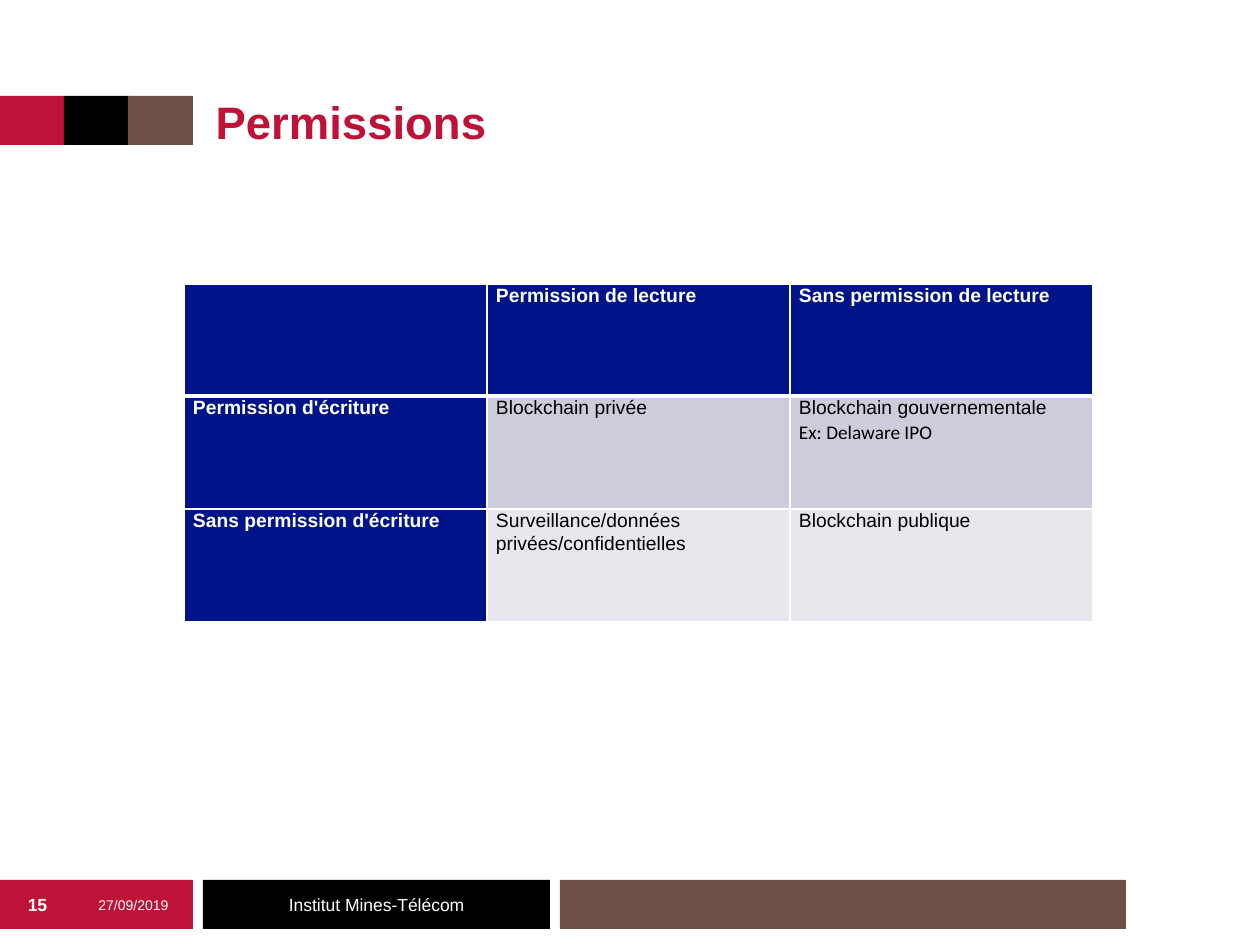
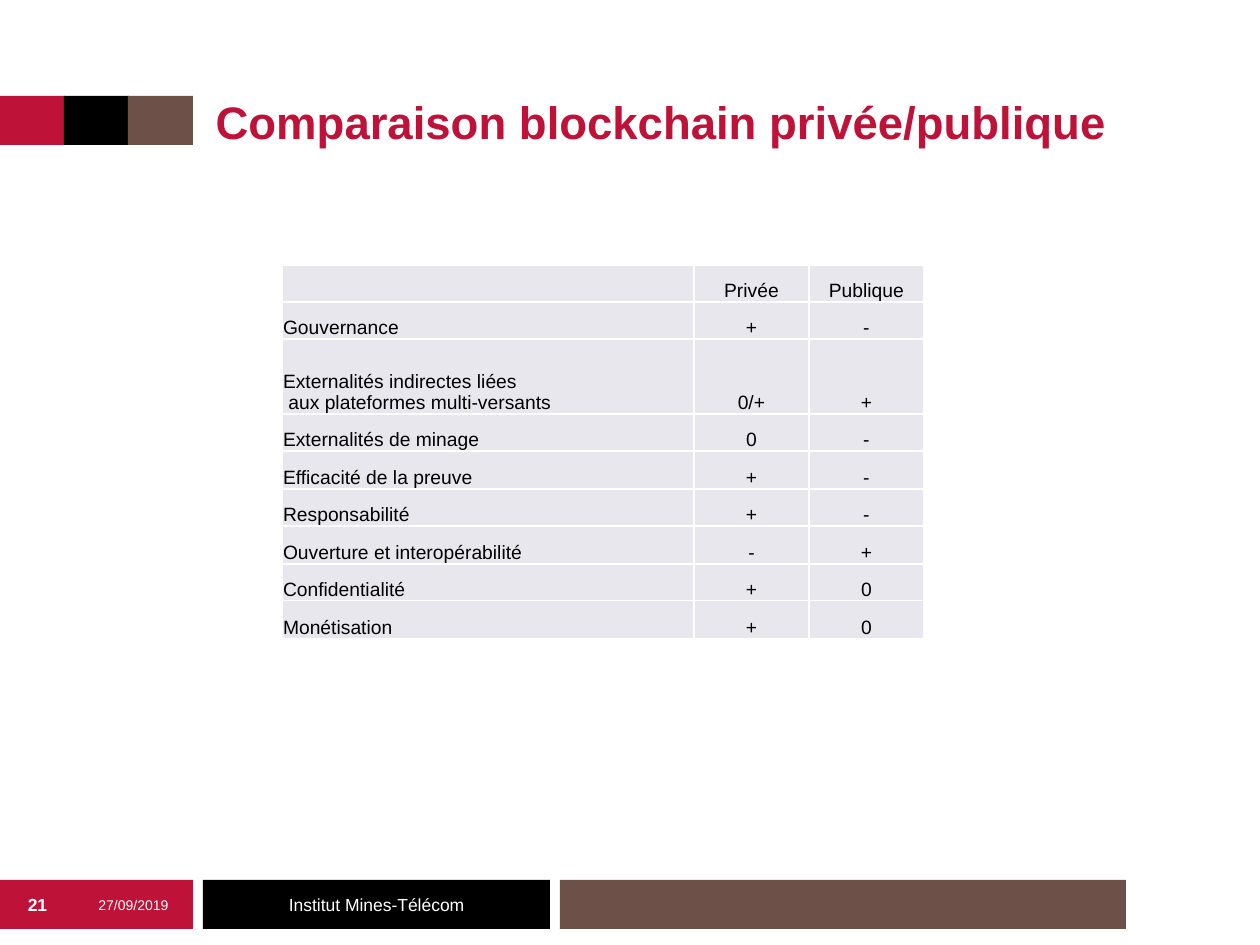
from dataclasses import dataclass

from lxml.etree import SubElement
from pptx import Presentation
from pptx.dml.color import RGBColor
from pptx.enum.shapes import MSO_SHAPE
from pptx.enum.text import MSO_ANCHOR, MSO_AUTO_SIZE, PP_ALIGN
from pptx.oxml.ns import qn
from pptx.slide import Slide
from pptx.table import Table, _Cell
from pptx.text.text import TextFrame
from pptx.util import Emu, Pt

SCALE = 914400 / 126  # EMU in one px
FONT = "Arial"
COLORS = {
    "red": "BF1238", "brown": "6D5047", "black": "000000", "white": "FFFFFF",
    "blue": "001489", "mid": "CCCCDA", "pale": "E7E7ED",
}


@dataclass(frozen=True)
class Box:
    x: int
    y: int
    w: int
    h: int


@dataclass(frozen=True)
class Style:
    size: int
    color: str
    bold: bool = False
    align: PP_ALIGN = PP_ALIGN.LEFT
    spacing: float | None = None


@dataclass(frozen=True)
class Band:
    box: Box
    fill: str
    text: str = ""


@dataclass(frozen=True)
class Grid:
    x: int
    y: int
    cols: tuple[int, ...]
    rows: tuple[int, ...]
    pads: tuple[int, int, int, int]  # left, top, right, bottom
    anchor: MSO_ANCHOR


BLOCK, FOOT, HIGH = 64, 880, 49
BANDS = [
    Band(Box(0, FOOT, 193, HIGH), "red"),
    Band(Box(560, FOOT, 566, HIGH), "brown"),
    Band(Box(203, FOOT, 347, HIGH), "black", "Institut Mines-Télécom"),
] + [
    Band(Box(i * BLOCK, 96, BLOCK + 1, HIGH), fill)
    for i, fill in enumerate(("red", "black", "brown"))
]
TITLE = Box(203, 0, 994, 155)
DATE = Box(74, FOOT, 119, HIGH)
NUMBER = Box(1, FOOT, 73, HIGH)

HEAD = Style(26, "red", True)
LABEL = Style(10, "white", align=PP_ALIGN.CENTER)
SMALL = Style(8, "white", align=PP_ALIGN.CENTER)
COUNT = Style(10, "white", True, PP_ALIGN.CENTER)

RIGHTS = Grid(184, 284, (303,) * 3, (112, 113, 113), (9, 0, 9, 0), MSO_ANCHOR.TOP)
RIGHTS_TEXT = [
    ["", "Permission de lecture", "Sans permission de lecture"],
    ["Permission d'écriture", "Blockchain privée",
     "Blockchain gouvernementale\nEx: Delaware IPO"],
    ["Sans permission d'écriture", "Surveillance/données privées/confidentielles",
     "Blockchain publique"],
]
SCORES = Grid(282, 265, (412, 115, 115), (37, 37, 75, 37, 38, 37, 38, 37, 38),
              (1, 1, 1, 0), MSO_ANCHOR.BOTTOM)
SCORES_TEXT = [
    ["", "Privée", "Publique"],
    ["Gouvernance", "+", "-"],
    ["Externalités indirectes liées\v aux plateformes multi-versants", "0/+", "+"],
    ["Externalités de minage", "0", "-"],
    ["Efficacité de la preuve", "+", "-"],
    ["Responsabilité", "+", "-"],
    ["Ouverture et interopérabilité", "-", "+"],
    ["Confidentialité", "+", "0"],
    ["Monétisation", "+", "0"],
]


def px(n: int) -> Emu:
    return Emu(round(n * SCALE))


def rgb(name: str) -> RGBColor:
    return RGBColor.from_string(COLORS[name])


def area(box: Box) -> tuple[Emu, ...]:
    return px(box.x), px(box.y), px(box.w), px(box.h)


def write(frame: TextFrame, text: str, style: Style) -> None:
    frame.text = text
    for para in frame.paragraphs:
        para.alignment = style.align
        if style.spacing:
            para.line_spacing = style.spacing
        for run in para.runs:
            font = run.font
            font.name, font.size, font.bold = FONT, Pt(style.size), style.bold
            font.color.rgb = rgb(style.color)
        if not para.runs:
            para._p.get_or_add_endParaRPr().set("sz", str(style.size * 100))


def label(slide: Slide, box: Box, text: str, style: Style) -> None:
    frame = slide.shapes.add_textbox(*area(box)).text_frame
    frame.word_wrap = True
    frame.vertical_anchor = MSO_ANCHOR.MIDDLE
    write(frame, text, style)


def paint(slide: Slide, band: Band) -> None:
    shape = slide.shapes.add_shape(MSO_SHAPE.RECTANGLE, *area(band.box))
    shape.shadow.inherit = False
    shape.fill.solid()
    shape.fill.fore_color.rgb = rgb(band.fill)
    shape.line.fill.background()
    if band.text:
        shape.text_frame.vertical_anchor = MSO_ANCHOR.MIDDLE
        write(shape.text_frame, band.text, LABEL)


def start(deck: Presentation, title: str, number: int) -> Slide:
    """Add a slide with its title, bands and footer."""
    slide = deck.slides.add_slide(deck.slide_layouts[5])
    for band in BANDS:
        paint(slide, band)
    head = slide.shapes.title
    head.left, head.top, head.width, head.height = area(TITLE)
    frame = head.text_frame
    frame.word_wrap = True
    frame.auto_size = MSO_AUTO_SIZE.NONE
    frame.vertical_anchor = MSO_ANCHOR.BOTTOM
    write(frame, title, HEAD)
    label(slide, DATE, "27/09/2019", SMALL)
    label(slide, NUMBER, str(number), COUNT)
    return slide


def edge(cell: _Cell, top: int = 1, bottom: int = 1) -> None:
    """Give the cell white borders, with widths in points."""
    props = cell._tc.get_or_add_tcPr()
    for side, width in (("L", 1), ("R", 1), ("T", top), ("B", bottom)):
        line = SubElement(props, qn(f"a:ln{side}"), w=str(Pt(width)))
        fill = SubElement(line, qn("a:solidFill"))
        SubElement(fill, qn("a:srgbClr"), val=COLORS["white"])


def place(slide: Slide, grid: Grid) -> Table:
    box = Box(grid.x, grid.y, sum(grid.cols), sum(grid.rows))
    table = slide.shapes.add_table(len(grid.rows), len(grid.cols), *area(box)).table
    table.first_row = table.horz_banding = False
    for col, width in zip(table.columns, grid.cols):
        col.width = px(width)
    for row, height in zip(table.rows, grid.rows):
        row.height = px(height)
    for cell in table.iter_cells():
        (cell.margin_left, cell.margin_top,
         cell.margin_right, cell.margin_bottom) = map(px, grid.pads)
        cell.vertical_anchor = grid.anchor
    return table


def fill(cell: _Cell, text: str, color: str, style: Style) -> None:
    cell.fill.solid()
    cell.fill.fore_color.rgb = rgb(color)
    write(cell.text_frame, text, style)


def rights(deck: Presentation) -> None:
    table = place(start(deck, "Permissions", 15), RIGHTS)
    for r, row in enumerate(RIGHTS_TEXT):
        for c, text in enumerate(row):
            cell = table.cell(r, c)
            head = r == 0 or c == 0
            edge(cell, top=3 if r == 1 else 1, bottom=3 if r == 0 else 1)
            color = "blue" if head else ("mid", "pale")[r - 1]
            ink = "white" if head else "black"
            fill(cell, text, color, Style(11, ink, head, spacing=1.07))
    sample = table.cell(1, 2).text_frame.paragraphs[1]
    sample.runs[0].font.name = "Calibri"


def scores(deck: Presentation) -> None:
    table = place(start(deck, "Comparaison blockchain privée/publique", 21), SCORES)
    for r, row in enumerate(SCORES_TEXT):
        for c, text in enumerate(row):
            cell = table.cell(r, c)
            edge(cell)
            align = PP_ALIGN.CENTER if c else PP_ALIGN.LEFT
            fill(cell, text, "pale", Style(11, "black", align=align))


def main() -> None:
    deck = Presentation()
    deck.slide_width, deck.slide_height = px(1260), px(945)
    rights(deck)
    scores(deck)
    deck.save("out.pptx")


if __name__ == "__main__":
    main()
